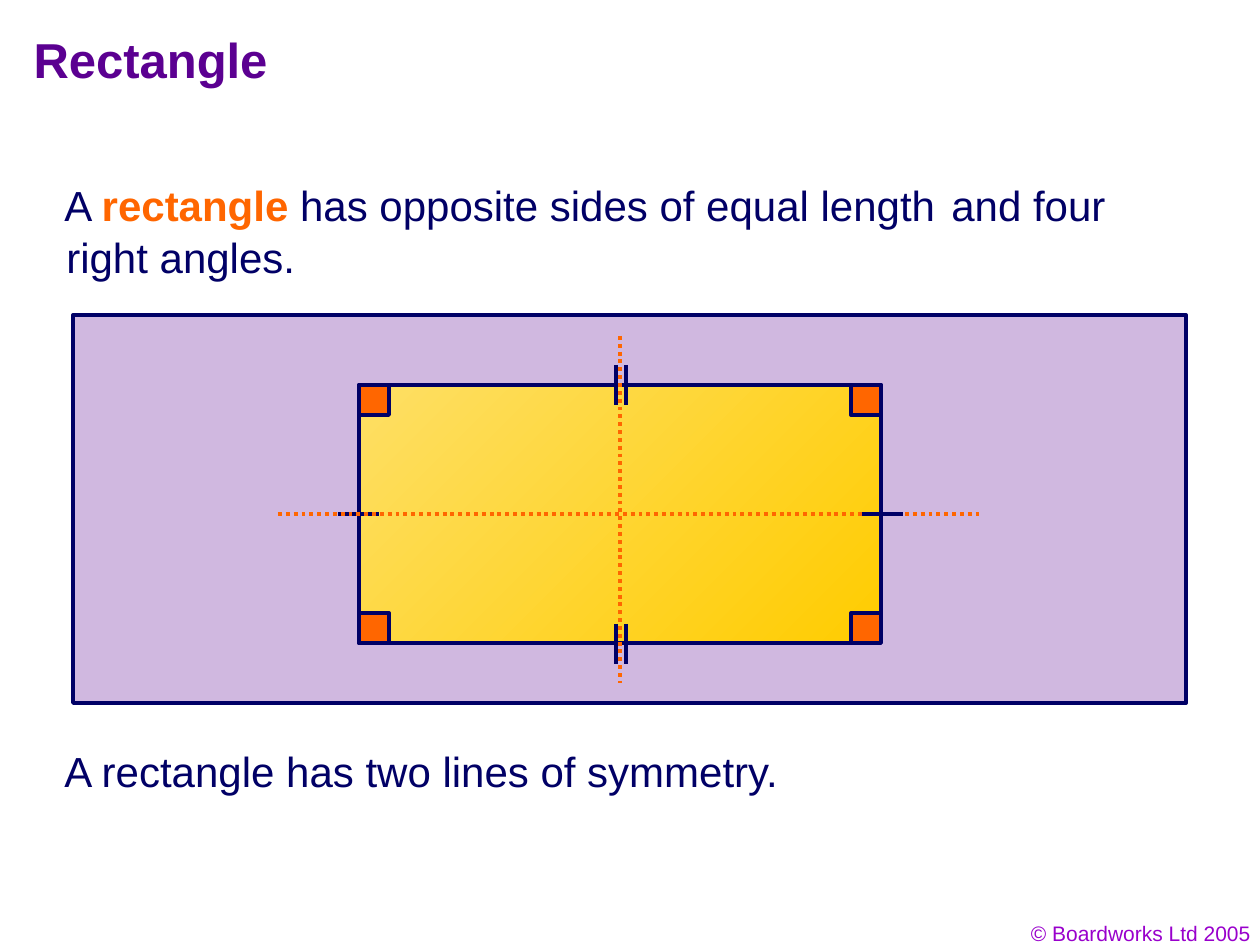
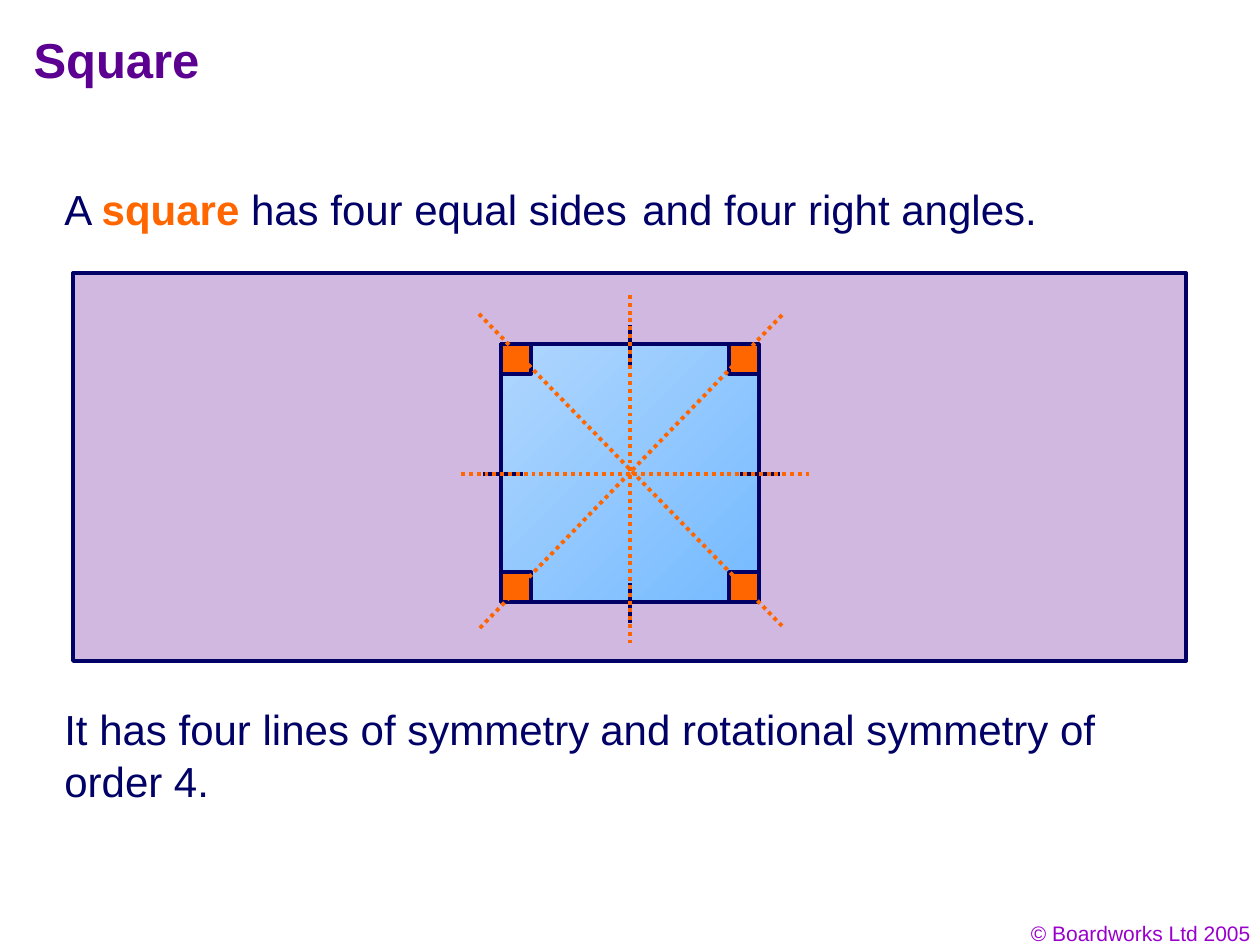
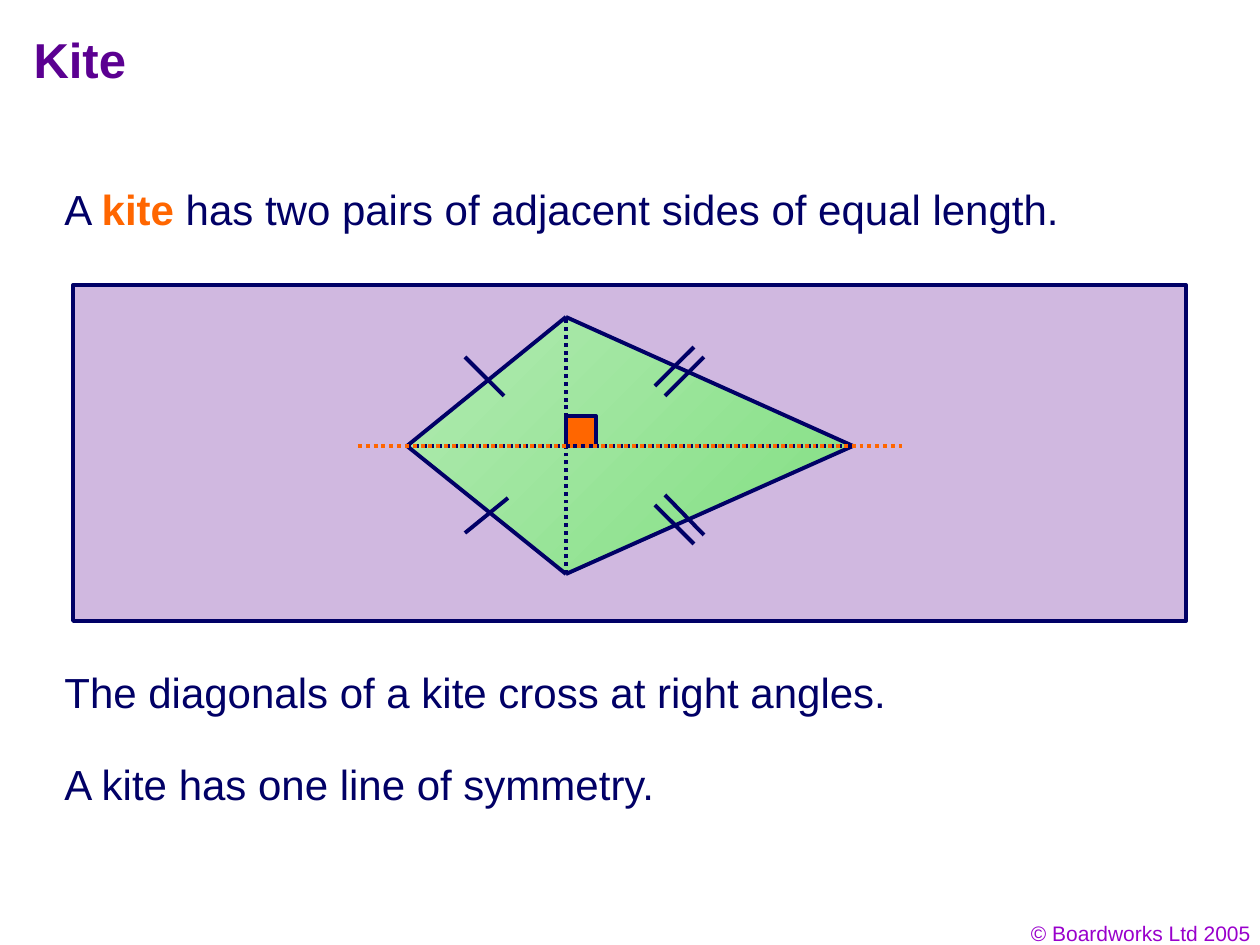
"""Build three slides on the properties of the rectangle, the square and the kite."""
from lxml.etree import SubElement
from pptx import Presentation
from pptx.dml.color import RGBColor
from pptx.enum.dml import MSO_LINE
from pptx.enum.shapes import MSO_CONNECTOR, MSO_SHAPE
from pptx.enum.text import MSO_ANCHOR, PP_ALIGN
from pptx.oxml.ns import qn
from pptx.util import Emu, Pt

SCALE = 914400 / 126
FONT = "Arial"
NAVY = RGBColor(0x00, 0x00, 0x66)
INK = RGBColor(0x01, 0x00, 0x66)
ORANGE = RGBColor(0xFF, 0x66, 0x00)
PURPLE = RGBColor(0x5B, 0x00, 0x91)
VIOLET = RGBColor(0x99, 0x00, 0xCC)
LILAC = RGBColor(0xD0, 0xB8, 0xE0)
YELLOW = (RGBColor(0xFF, 0xCC, 0x00), RGBColor(0xFE, 0xDF, 0x65))
BLUE = (RGBColor(0x75, 0xBA, 0xFF), RGBColor(0xAF, 0xD6, 0xFE))
GREEN = (RGBColor(0x81, 0xDF, 0x81), RGBColor(0xB2, 0xEA, 0xB2))
OUTLINE = Pt(2.25)
CORNER = 30


def px(*lengths):
    """Turn pixel lengths into EMU."""
    return [Emu(round(length * SCALE)) for length in lengths]


def write(shape, runs, size=24, colour=INK, bold=False, align=PP_ALIGN.LEFT,
          anchor=MSO_ANCHOR.TOP, spacing=1.04, indent=0):
    """Write one paragraph; every second run is a highlighted term."""
    frame = shape.text_frame
    frame.word_wrap = True
    frame.vertical_anchor = anchor
    paragraph = frame.paragraphs[0]
    paragraph.alignment = align
    paragraph.line_spacing = spacing
    if indent:
        paragraph._p.get_or_add_pPr().set("indent", str(px(indent)[0]))
    for position, text in enumerate(runs):
        term = position % 2 == 1
        run = paragraph.add_run()
        run.text = text
        run.font.name = FONT
        run.font.size = Pt(size)
        run.font.bold = bold or term
        run.font.color.rgb = ORANGE if term else colour


KITE_LEFT, KITE_TOP, KITE_RIGHT, KITE_BOTTOM = (407, 446), (566, 317), (853, 446), (566, 574)

SLIDES = [
    {
        "title": "Rectangle",
        "panel": (315, 388),
        "figure": (359, 385, 522, 258),
        "gradient": YELLOW,
        "texts": [
            (["A ", "rectangle", " has opposite sides of equal length"], (52, 171, 1134, 63), 0),
            (["and four right angles."], (54, 171, 1135, 113), 885),
            (["A rectangle has two lines of symmetry."], (52, 737, 747, 63), 0),
        ],
        "strokes": [
            (NAVY, False, [(338, 514, 379, 514)]),
            (ORANGE, True, [(620, 336, 620, 683), (278, 514, 982, 514)]),
            (NAVY, False, [(x, y, x, y + 40) for y in (365, 624) for x in (616, 626)]),
            (NAVY, False, [(862, 514, 903, 514)]),
        ],
    },
    {
        "title": "Square",
        "panel": (273, 388),
        "figure": (501, 344, 258, 258),
        "gradient": BLUE,
        "texts": [
            (["A ", "square", " has four equal sides"], (52, 175, 594, 63), 0),
            (["and four right angles."], (630, 175, 424, 63), 0),
            (["It has four lines of symmetry"], (52, 695, 555, 63), 0),
            (["and rotational symmetry of order 4."], (52, 695, 1081, 113), 536),
        ],
        "strokes": [
            (NAVY, False, [(630, y, 630, y + 40) for y in (325, 583)]),
            (NAVY, False, [(x, 474, x + 40, 474) for x in (483, 740)]),
            (ORANGE, True, [(782, 315, 479, 629), (479, 314, 782, 626),
                            (630, 295, 630, 643), (461, 474, 809, 474)]),
        ],
    },
    {
        "title": "Kite",
        "panel": (285, 336),
        "figure": None,
        "gradient": GREEN,
        "texts": [
            (["A ", "kite ", "has two pairs of adjacent sides of equal length."],
             (52, 175, 1134, 63), 0),
            (["The diagonals of a kite cross at right angles."], (52, 658, 851, 63), 0),
            (["A kite has one line of symmetry."], (52, 750, 624, 63), 0),
        ],
        "strokes": [
            (NAVY, False, [tip + side for tip in (KITE_TOP, KITE_BOTTOM)
                           for side in (KITE_LEFT, KITE_RIGHT)]),
            (NAVY, False, [(465, 357, 504, 396), (465, 533, 508, 498),
                           (694, 347, 655, 386), (704, 357, 665, 396),
                           (704, 535, 665, 495), (694, 544, 655, 505)]),
            (NAVY, True, [KITE_LEFT + KITE_RIGHT, KITE_BOTTOM + KITE_TOP]),
            (ORANGE, True, [(358, 446, 902, 446)]),
        ],
    },
]

presentation = Presentation()
presentation.slide_width, presentation.slide_height = px(1260, 945)

for content in SLIDES:
    slide = presentation.slides.add_slide(presentation.slide_layouts[5])
    shapes = slide.shapes

    title = shapes.title
    title.left, title.top, title.width, title.height = px(21, 21, 1071, 84)
    write(title, [content["title"]], size=28, colour=PURPLE, bold=True,
          anchor=MSO_ANCHOR.MIDDLE, spacing=0.9)
    footer = shapes.add_textbox(*px(969, 913, 294, 38))
    write(footer, ["© Boardworks Ltd 2005"], size=12, colour=VIOLET, align=PP_ALIGN.RIGHT)

    panel_top, panel_height = content["panel"]
    boxes = [(73, panel_top, 1113, panel_height, LILAC)]
    if content["figure"]:
        left, top, width, height = content["figure"]
        boxes.append((left, top, width, height, content["gradient"]))
        boxes += [(x, y, CORNER, CORNER, ORANGE)
                  for x in (left, left + width - CORNER)
                  for y in (top, top + height - CORNER)]
    else:
        boxes += [(0, 0, 0, 0, content["gradient"]),
                  (KITE_TOP[0], KITE_LEFT[1] - CORNER, CORNER, CORNER, ORANGE)]

    for left, top, width, height, fill in boxes:
        if width:
            shape = shapes.add_shape(MSO_SHAPE.RECTANGLE, *px(left, top, width, height))
            shape.line.color.rgb = NAVY
            shape.line.width = OUTLINE
        else:
            builder = shapes.build_freeform(*KITE_LEFT, scale=SCALE)
            builder.add_line_segments([KITE_BOTTOM, KITE_RIGHT, KITE_TOP], close=True)
            shape = builder.convert_to_shape()
            shape.line.fill.background()
        shape.shadow.inherit = False
        if isinstance(fill, RGBColor):
            shape.fill.solid()
            shape.fill.fore_color.rgb = fill
        else:
            shape.fill.gradient()
            shape.fill.gradient_angle = 135
            for stop, colour in zip(shape.fill.gradient_stops, fill):
                stop.color.rgb = colour

    for colour, dotted, segments in content["strokes"]:
        for segment in segments:
            connector = shapes.add_connector(MSO_CONNECTOR.STRAIGHT, *px(*segment))
            connector.line.color.rgb = colour
            connector.line.width = OUTLINE
            if dotted:
                connector.line.dash_style = MSO_LINE.ROUND_DOT
            SubElement(connector._element.spPr, qn("a:effectLst"))

    for runs, place, indent in content["texts"]:
        write(shapes.add_textbox(*px(*place)), runs, indent=indent)

presentation.save("out.pptx")
